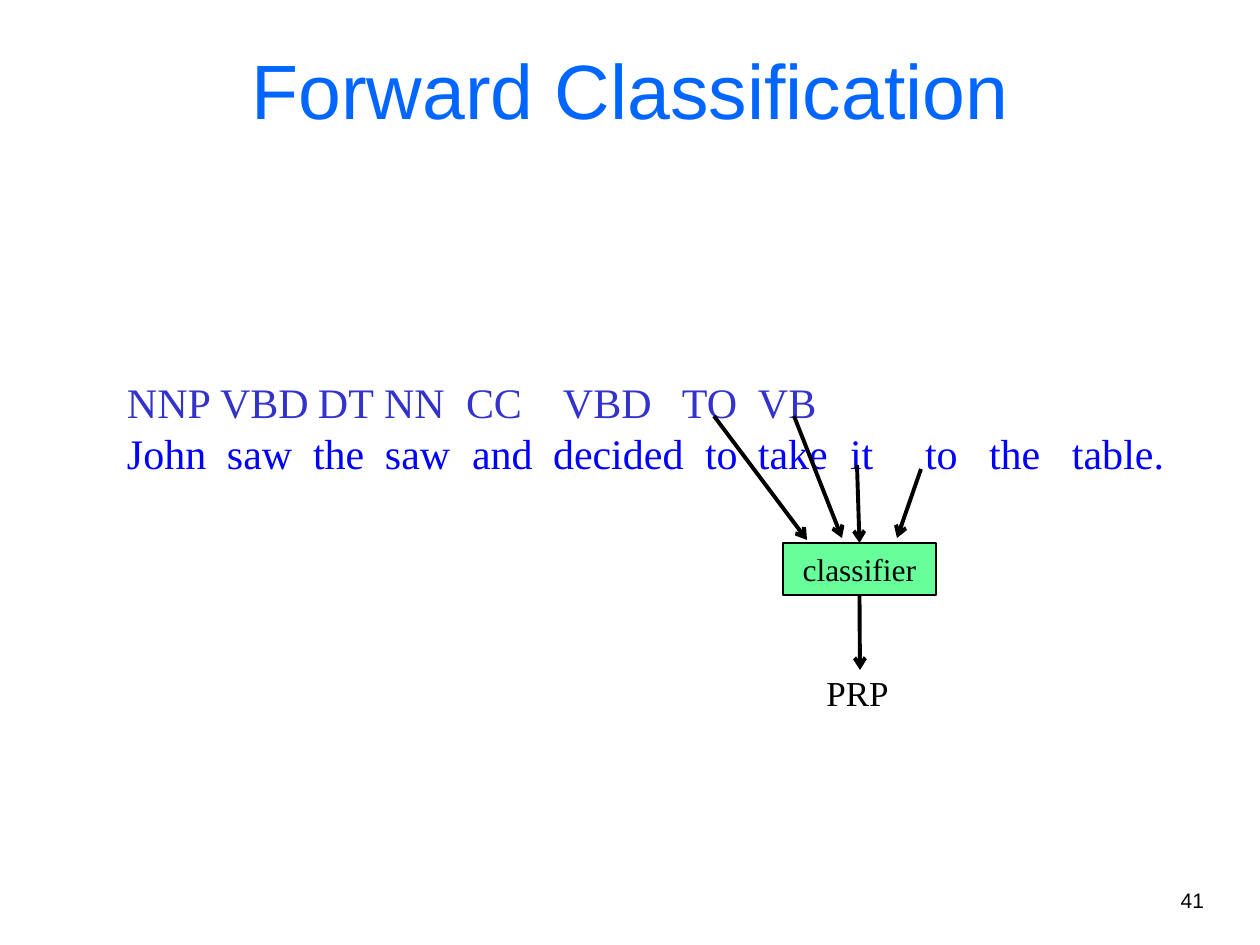
from typing import NamedTuple

from lxml.etree import SubElement
from pptx import Presentation
from pptx.dml.color import RGBColor
from pptx.enum.shapes import MSO_CONNECTOR, MSO_SHAPE
from pptx.enum.text import MSO_ANCHOR, PP_ALIGN
from pptx.oxml.ns import qn
from pptx.util import Emu, Pt

PX_PER_INCH = 126
SERIF = "Times New Roman"
SANS = "Arial"
BLACK = "000000"
TEXT_INSET = 13
TOP, BOTTOM = 0, 2


class Box(NamedTuple):
    left: int
    top: int
    width: int
    height: int


class Arrow(NamedTuple):
    x1: int
    y1: int
    x2: int
    y2: int
    begin_site: int | None = None
    end_site: int | None = None


class TokenRow(NamedTuple):
    tokens: str
    starts: tuple[int, ...]
    color: str


def px(n: int) -> Emu:
    return Emu(round(n * 914400 / PX_PER_INCH))


def rgb(value: str) -> RGBColor:
    return RGBColor.from_string(value)


def write(p, text: str, *, size: int, font: str = SERIF, color: str = BLACK,
          align=PP_ALIGN.LEFT) -> None:
    p.alignment = align
    r = p.add_run()
    r.text = text
    r.font.size = Pt(size)
    r.font.name = font
    r.font.color.rgb = rgb(color)


def set_frame(sp, anchor=MSO_ANCHOR.TOP):
    tf = sp.text_frame
    tf.word_wrap = True
    tf.vertical_anchor = anchor
    tf.margin_left = tf.margin_right = px(TEXT_INSET)
    tf.margin_top = tf.margin_bottom = px(6)
    return tf


def add_text(slide, box: Box, text: str, *, anchor=MSO_ANCHOR.TOP, **style) -> None:
    tf = set_frame(slide.shapes.add_textbox(*map(px, box)), anchor)
    write(tf.paragraphs[0], text, **style)


def add_token_rows(slide, box: Box, rows: list[TokenRow]) -> None:
    tf = set_frame(slide.shapes.add_textbox(*map(px, box)))
    tf.margin_right = 0
    for i, row in enumerate(rows):
        p = tf.add_paragraph() if i else tf.paragraphs[0]
        tabs = SubElement(p._p.get_or_add_pPr(), qn("a:tabLst"))
        for x in row.starts:
            pos = px(x - box.left - TEXT_INSET)
            SubElement(tabs, qn("a:tab"), pos=str(pos), algn="l")
        write(p, "\t".join(row.tokens.split()), size=24, color=row.color)


def add_classifier(slide, box: Box):
    sp = slide.shapes.add_shape(MSO_SHAPE.RECTANGLE, *map(px, box))
    sp.shadow.inherit = False
    sp.fill.solid()
    sp.fill.fore_color.rgb = rgb("66FF99")
    sp.line.color.rgb = rgb(BLACK)
    sp.line.width = Pt(1)
    tf = set_frame(sp, MSO_ANCHOR.MIDDLE)
    write(tf.paragraphs[0], "classifier", size=18, align=PP_ALIGN.CENTER)
    return sp


def add_arrow(slide, arrow: Arrow, target) -> None:
    s = slide.shapes.add_connector(MSO_CONNECTOR.STRAIGHT, *map(px, arrow[:4]))
    if arrow.begin_site is not None:
        s.begin_connect(target, arrow.begin_site)
    if arrow.end_site is not None:
        s.end_connect(target, arrow.end_site)
    s.line.color.rgb = rgb(BLACK)
    s.line.width = Pt(2.25)
    SubElement(s.line._get_or_add_ln(), qn("a:tailEnd"), type="arrow")
    SubElement(s._element.spPr, qn("a:effectLst"))


ROWS = [
    TokenRow("NNP VBD DT NN CC VBD TO VB",
             (220, 318, 384, 466, 563, 682, 758), "3333CC"),
    TokenRow("John saw the saw and decided to take it to the table.",
             (227, 313, 385, 472, 553, 705, 758, 850, 925, 989, 1072), "0000FF"),
]
ARROWS = [
    Arrow(714, 416, 807, 540),
    Arrow(794, 416, 842, 538),
    Arrow(857, 465, 860, 543, end_site=TOP),
    Arrow(921, 469, 897, 538),
    Arrow(860, 595, 860, 670, begin_site=BOTTOM),
]


def main() -> None:
    prs = Presentation()
    prs.slide_width, prs.slide_height = px(1260), px(945)
    slide = prs.slides.add_slide(prs.slide_layouts[6])
    add_text(slide, Box(95, 10, 1071, 158), "Forward Classification", size=44,
             font=SANS, color="0066FF", align=PP_ALIGN.CENTER,
             anchor=MSO_ANCHOR.MIDDLE)
    add_token_rows(slide, Box(114, 371, 1064, 113), ROWS)
    classifier = add_classifier(slide, Box(783, 543, 153, 52))
    add_text(slide, Box(809, 665, 97, 54), "PRP", size=20, align=PP_ALIGN.CENTER)
    for arrow in ARROWS:
        add_arrow(slide, arrow, classifier)
    add_text(slide, Box(955, 882, 262, 63), "41", size=12, font=SANS,
             align=PP_ALIGN.RIGHT)
    prs.save("out.pptx")


if __name__ == "__main__":
    main()
